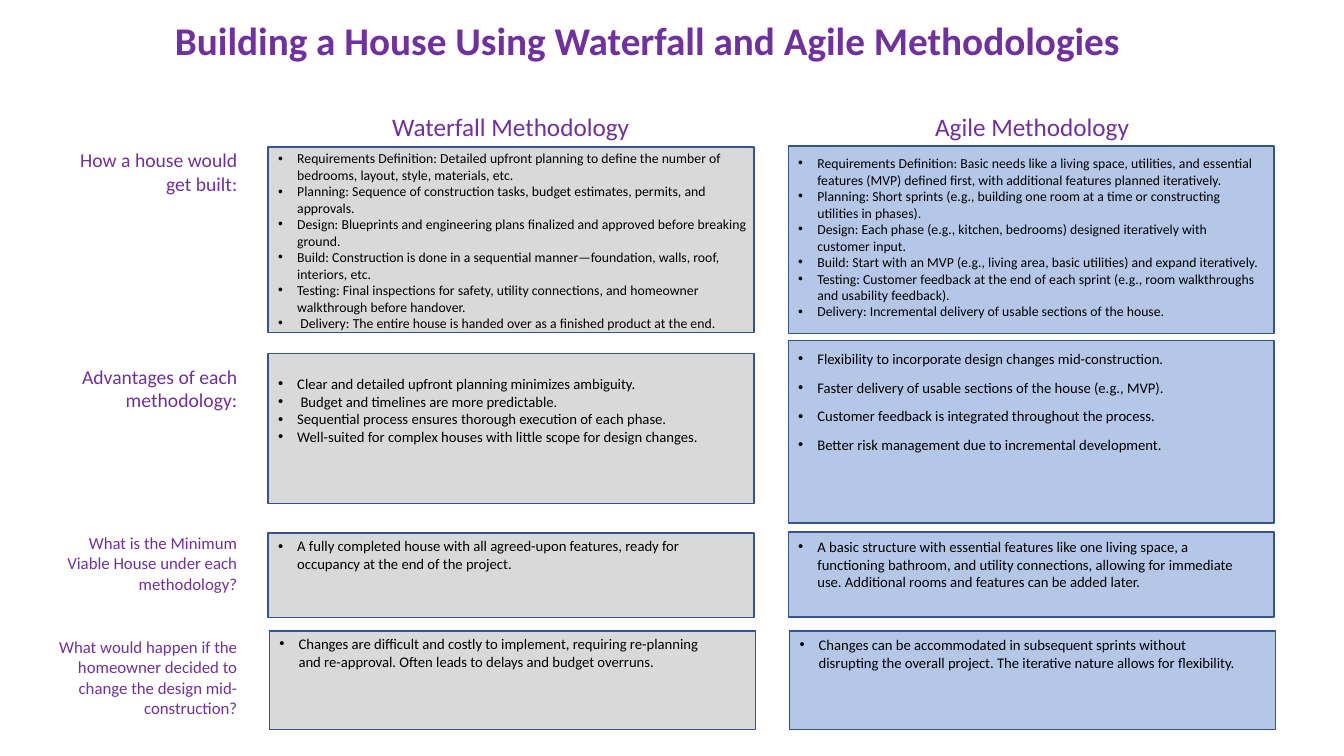
import pptx
import pptx.dml.color
import pptx.enum.shapes
import pptx.enum.text
import pptx.oxml
import pptx.util

RGBColor = pptx.dml.color.RGBColor
Align = pptx.enum.text.PP_ALIGN
PURPLE = RGBColor(0x70, 0x30, 0xA0)
BLACK = RGBColor(0x00, 0x00, 0x00)
GREY = RGBColor(0xD9, 0xD9, 0xD9)
BLUE = RGBColor(0xB4, 0xC7, 0xE7)
NAVY = RGBColor(0x32, 0x54, 0x91)
FONT = "Calibri"
SLIDE_W, SLIDE_H = pptx.util.Inches(13.33), pptx.util.Inches(7.5)
INDENT = pptx.util.Inches(0.19)

COLUMN_LEFT, COLUMN_PITCH, COLUMN_W = 19.95, 38.7, 36.15
LABEL_RIGHT = 18.4
HEADINGS = [("Waterfall Methodology", GREY), ("Agile Methodology", BLUE)]

ROWS = [
    {"label": "How a house would get built:", "label_box": (18.95, 13.95, 7.6), "label_size": 14,
     "size": 9.8, "shift": 0, "cards": [
        {"box": (19.45, 24.55), "text": (-0.25, 37.35, 26), "gap": 0, "points": [
            "Requirements Definition: Detailed upfront planning to define the number of bedrooms, layout, style, materials, etc.",
            "Planning: Sequence of construction tasks, budget estimates, permits, and approvals.",
            "Design: Blueprints and engineering plans finalized and approved before breaking ground.",
            "Build: Construction is done in a sequential manner—foundation, walls, roof, interiors, etc.",
            "Testing: Final inspections for safety, utility connections, and homeowner walkthrough before handover.",
            " Delivery: The entire house is handed over as a finished product at the end."]},
        {"box": (19.3, 24.8), "text": (0.55, 36, 25.6), "gap": 0, "points": [
            "Requirements Definition: Basic needs like a living space, utilities, and essential features (MVP) defined first, with additional features planned iteratively.",
            "Planning: Short sprints (e.g., building one room at a time or constructing utilities in phases).",
            "Design: Each phase (e.g., kitchen, bedrooms) designed iteratively with customer input.",
            "Build: Start with an MVP (e.g., living area, basic utilities) and expand iteratively.",
            "Testing: Customer feedback at the end of each sprint (e.g., room walkthroughs and usability feedback).",
            "Delivery: Incremental delivery of usable sections of the house."]}]},
    {"label": "Advantages of each methodology:", "label_box": (47.6, 15.6, 7.6), "label_size": 14,
     "size": 10.5, "shift": 0, "cards": [
        {"box": (46.8, 19.85), "text": (2.15, 34.5, 10.8), "gap": 0, "points": [
            "Clear and detailed upfront planning minimizes ambiguity.",
            " Budget and timelines are more predictable.",
            "Sequential process ensures thorough execution of each phase.",
            "Well-suited for complex houses with little scope for design changes."]},
        {"box": (45.05, 24.15), "text": (0.55, 36.3, 19.6), "gap": 8, "points": [
            "Flexibility to incorporate design changes mid-construction.",
            "Faster delivery of usable sections of the house (e.g., MVP).",
            "Customer feedback is integrated throughout the process.",
            "Better risk management due to incremental development."]}]},
    {"label": "What is the Minimum Viable House under each methodology?",
     "label_box": (69.85, 15.6, 9.5), "label_size": 12, "size": 10.5, "shift": 0, "cards": [
        {"box": (70.5, 11.2), "text": (-0.1, 34.5, 6), "gap": 0, "points": [
            "A fully completed house with all agreed-upon features, ready for occupancy at the end of the project."]},
        {"box": (70.4, 11.2), "text": (0.1, 34.5, 10.8), "gap": 0, "points": [
            "A basic structure with essential features like one living space, a functioning bathroom, and utility connections, allowing for immediate use. Additional rooms and features can be added later."]}]},
    {"label": "What would happen if the homeowner decided to change the design mid-construction?",
     "label_box": (83.6, 15.6, 12.15), "label_size": 12, "size": 10.5, "shift": 0.1, "cards": [
        {"box": (83.45, 13.05), "text": (-0.1, 34.5, 6), "gap": 0, "points": [
            "Changes are difficult and costly to implement, requiring re-planning and re-approval. Often leads to delays and budget overruns."]},
        {"box": (83.45, 13.05), "text": (0, 34.5, 8.4), "gap": 0, "points": [
            "Changes can be accommodated in subsequent sprints without disrupting the overall project. The iterative nature allows for flexibility."]}]},
]


def share(left, top, width, height):
    """Turn percentages of the slide into lengths."""
    return (round(left * SLIDE_W / 100), round(top * SLIDE_H / 100),
            round(width * SLIDE_W / 100), round(height * SLIDE_H / 100))


def add_bullet(p):
    """Give a paragraph a hanging round bullet."""
    pPr = p._p.get_or_add_pPr()
    pPr.set("marL", str(INDENT))
    pPr.set("indent", str(-INDENT))
    pPr.append(pptx.oxml.parse_xml(
        '<a:buFont xmlns:a="http://schemas.openxmlformats.org/drawingml/2006/main" typeface="Arial"/>'))
    pPr.append(pptx.oxml.parse_xml(
        '<a:buChar xmlns:a="http://schemas.openxmlformats.org/drawingml/2006/main" char="•"/>'))


def add_text(s, box, lines, size, color, align, bold=False, bullets=False, gap=0):
    """Place a wrapped text box with one paragraph per line."""
    tf = s.shapes.add_textbox(*share(*box)).text_frame
    tf.word_wrap = True
    tf.auto_size = pptx.enum.text.MSO_AUTO_SIZE.SHAPE_TO_FIT_TEXT
    for i, line in enumerate(lines):
        p = tf.add_paragraph() if i else tf.paragraphs[0]
        p.alignment = align
        if gap:
            p.space_after = pptx.util.Pt(gap)
        if bullets:
            add_bullet(p)
        r = p.add_run()
        r.text = line
        r.font.name, r.font.size, r.font.bold = FONT, pptx.util.Pt(size), bold
        r.font.color.rgb = color


def add_header(s, box):
    """Place the title and the two column headings in the top band."""
    left, top, width, height = box
    add_text(s, (left + 6.9, top, 82.5, 7.6),
             ["Building a House Using Waterfall and Agile Methodologies"],
             28, PURPLE, Align.CENTER, bold=True)
    for i, (heading, _) in enumerate(HEADINGS):
        add_text(s, (left + 25.2 + i * 38.8, top + height - 5.35, 25.6, 5.35),
                 [heading], 18, PURPLE, Align.CENTER)


def add_card(s, box, card, fill, size):
    """Place a filled rectangle and its bulleted text."""
    left, top, width, height = box
    sp = s.shapes.add_shape(pptx.enum.shapes.MSO_SHAPE.RECTANGLE, *share(*box))
    sp.shadow.inherit = False
    sp.fill.solid()
    sp.fill.fore_color.rgb = fill
    sp.line.color.rgb = NAVY
    sp.line.width = pptx.util.Pt(1)
    offset, text_w, text_h = card["text"]
    add_text(s, (left, top + offset, text_w, text_h), card["points"], size, BLACK,
             Align.LEFT, bullets=True, gap=card["gap"])


def add_row(s, row):
    """Place a right-aligned question and its card for each methodology."""
    top, width, height = row["label_box"]
    add_text(s, (LABEL_RIGHT - width, top, width, height), [row["label"]],
             row["label_size"], PURPLE, Align.RIGHT)
    for i, (card, (_, fill)) in enumerate(zip(row["cards"], HEADINGS)):
        card_top, card_h = card["box"]
        left = COLUMN_LEFT + i * COLUMN_PITCH + row["shift"]
        add_card(s, (left, card_top, COLUMN_W, card_h), card, fill, row["size"])


def main():
    """Build and save the comparison slide."""
    prs = pptx.Presentation()
    prs.slide_width, prs.slide_height = SLIDE_W, SLIDE_H
    s = prs.slides.add_slide(prs.slide_layouts[6])
    add_header(s, (0, 1.45, 100, 17.9))
    for row in ROWS:
        add_row(s, row)
    prs.save("out.pptx")


if __name__ == "__main__":
    main()
